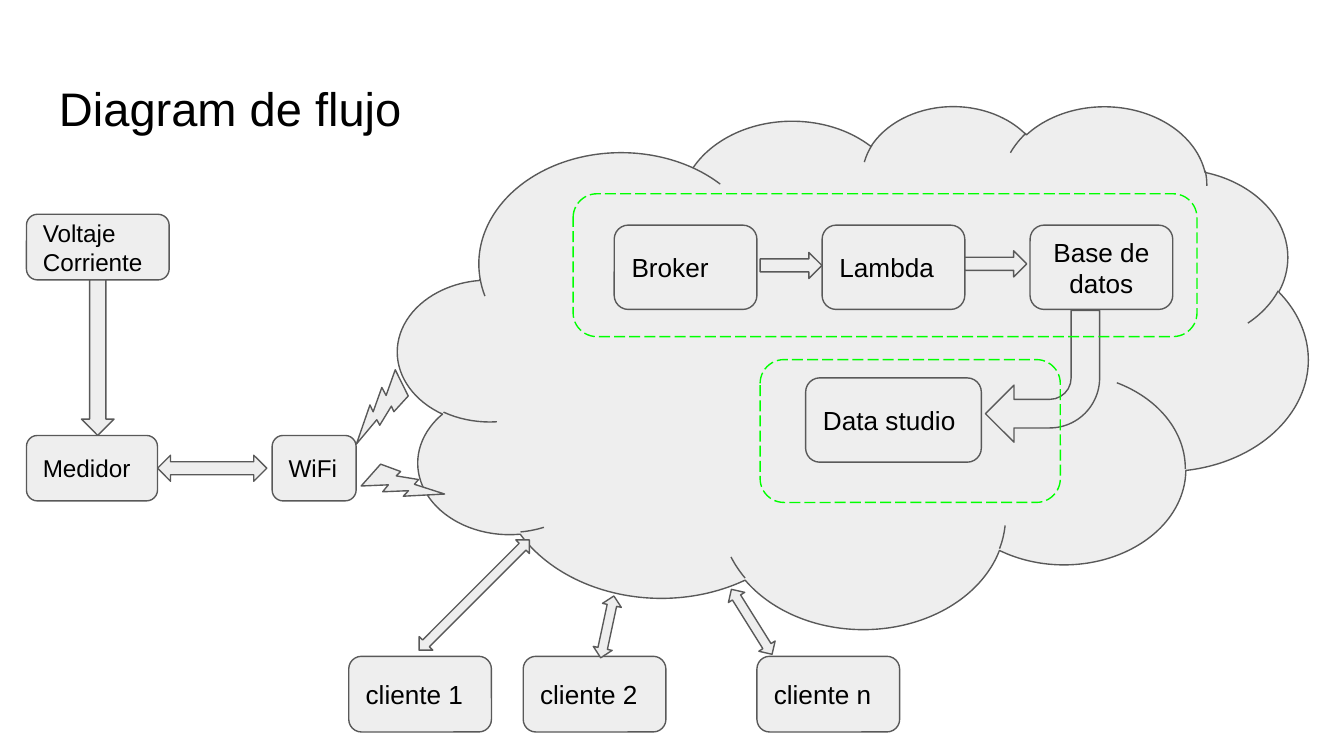
"""Build the flow diagram slide: meter, WiFi, cloud services and clients."""
from pptx import Presentation
from pptx import util as u
from pptx.dml.color import RGBColor
from pptx.enum import dml, shapes, text

BLACK = RGBColor(0, 0, 0)
LIGHT = RGBColor(0xEE, 0xEE, 0xEE)
GRAY = RGBColor(0x59, 0x59, 0x59)
GREEN = RGBColor(0, 0xFF, 0)
FONT = "Arial"
COLS, ROWS = 100, 56.25
CELL = u.Inches(10) / COLS
MST = shapes.MSO_SHAPE


def grid(*cells):
    """Convert grid cells to slide lengths."""
    return [u.Emu(round(c * CELL)) for c in cells]


def write(sp, words, size, align=text.PP_ALIGN.LEFT):
    """Write one paragraph per line of words, centred vertically."""
    tf = sp.text_frame
    tf.word_wrap = True
    tf.vertical_anchor = text.MSO_ANCHOR.MIDDLE
    tf.margin_left = tf.margin_right = tf.margin_top = tf.margin_bottom = u.Inches(0.1)
    tf.text = words
    for p in tf.paragraphs:
        p.alignment = align
        p.font.name, p.font.size = FONT, u.Pt(size)
        p.font.color.rgb = BLACK


def add_title(s, words):
    """Add the slide title."""
    write(s.shapes.add_textbox(*grid(3.4, 4.86, 93.2, 6.26)), words, 25.2)


def add_figure(s, kind, cells, rotation=0):
    """Add a light gray preset shape with a thin outline."""
    sp = s.shapes.add_shape(kind, *grid(*cells))
    sp.shadow.inherit = False
    sp.fill.solid()
    sp.fill.fore_color.rgb = LIGHT
    sp.line.color.rgb = GRAY
    sp.line.width = u.Pt(0.75)
    sp.rotation = rotation
    return sp


def add_box(s, words, cells, size=14, align=text.PP_ALIGN.LEFT):
    """Add a rounded box with a label."""
    write(add_figure(s, MST.ROUNDED_RECTANGLE, cells), words, size, align)


def add_group_frame(s, cells):
    """Add a dashed green frame around related services."""
    sp = add_figure(s, MST.ROUNDED_RECTANGLE, cells)
    sp.fill.background()
    sp.line.color.rgb = GREEN
    sp.line.dash_style = dml.MSO_LINE.LONG_DASH


def add_meter(s):
    """Add the measured signals, the meter and the WiFi link."""
    add_box(s, "Voltaje\nCorriente", (1.97, 15.95, 10.62, 4.88), 13)
    add_box(s, "Medidor", (1.97, 32.4, 9.75, 4.87), 13)
    add_box(s, "WiFi", (20.25, 32.4, 6.25, 4.87), 13)
    add_figure(s, MST.DOWN_ARROW, (6.06, 20.83, 2.43, 11.57))
    add_figure(s, MST.LEFT_RIGHT_ARROW, (11.72, 33.87, 8.13, 1.94))
    add_figure(s, MST.LIGHTNING_BOLT, (25.74, 28.14, 5.2, 4.2), 84.1)
    add_figure(s, MST.LIGHTNING_BOLT, (27.2, 34.03, 5.2, 4.2), 332)


def add_services(s):
    """Add the cloud services, their arrows and group frames."""
    add_box(s, "Broker", (45.7, 16.75, 10.62, 6.27))
    add_box(s, "Lambda", (61.17, 16.75, 10.62, 6.27))
    add_box(s, "Base de datos", (76.64, 16.75, 10.62, 6.27), align=text.PP_ALIGN.CENTER)
    add_box(s, "Data studio", (59.95, 28.12, 13.07, 6.27))
    add_figure(s, MST.RIGHT_ARROW, (56.56, 18.78, 4.6, 1.94))
    add_figure(s, MST.RIGHT_ARROW, (71.8, 18.66, 4.6, 1.94))
    add_figure(s, MST.BENT_ARROW, (73.32, 23.1, 8.5, 9.8), 180)
    add_group_frame(s, (42.64, 14.42, 46.42, 10.63))
    add_group_frame(s, (56.56, 26.76, 22.34, 10.63))


def add_clients(s):
    """Add each client and its two-way arrow to the cloud."""
    clients = [
        ("1", 25.95, (34.57, 38.48, 1.43, 11.6), 45),
        ("2", 38.93, (44.47, 44.3, 1.43, 4.7), 12.1),
        ("n", 56.32, (55.22, 43.42, 1.43, 5.7), 328),
    ]
    for name, left, arrow, rotation in clients:
        add_box(s, f"cliente {name}", (left, 48.84, 10.62, 5.63))
        add_figure(s, MST.UP_DOWN_ARROW, arrow, rotation)


def main():
    """Build and save the slide."""
    prs = Presentation()
    prs.slide_width, prs.slide_height = grid(COLS, ROWS)
    s = prs.slides.add_slide(prs.slide_layouts[6])
    add_title(s, "Diagram de flujo")
    add_figure(s, MST.CLOUD, (29.62, 7.81, 67.7, 38.9))
    add_meter(s)
    add_services(s)
    add_clients(s)
    prs.save("out.pptx")


if __name__ == "__main__":
    main()
